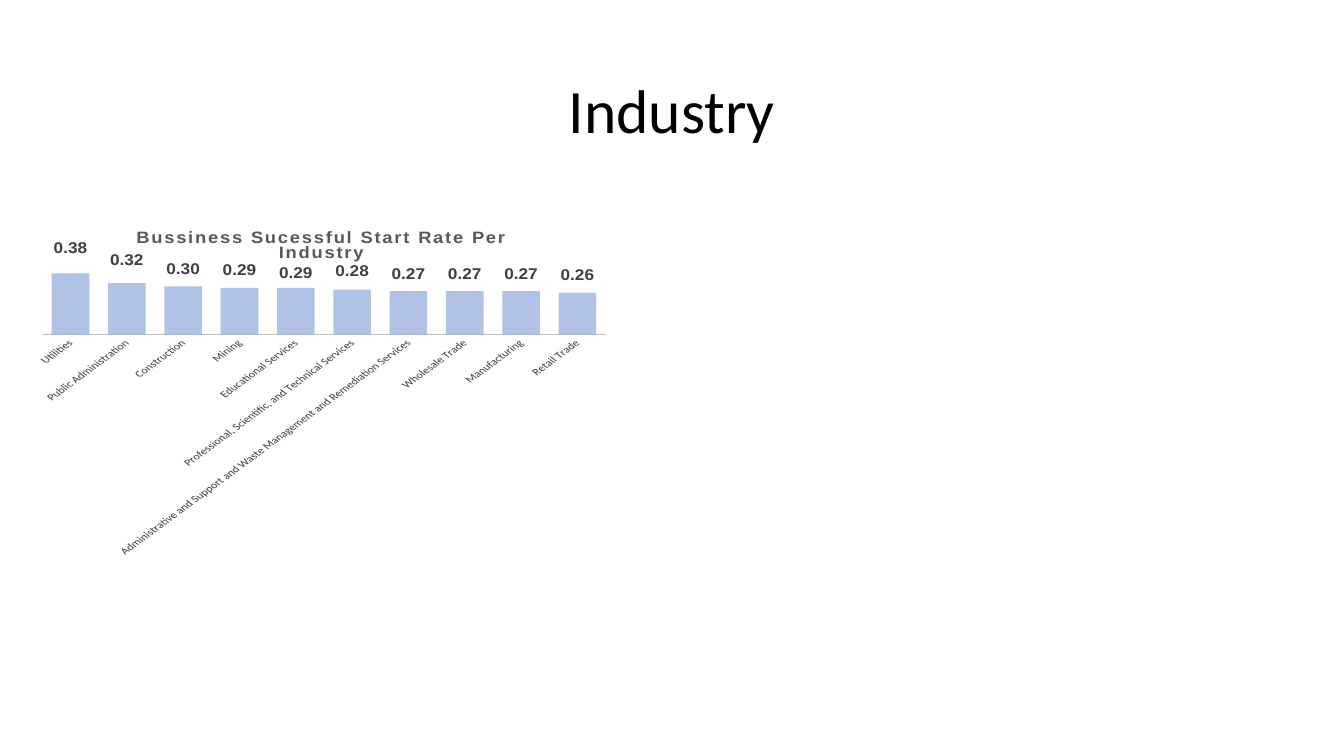
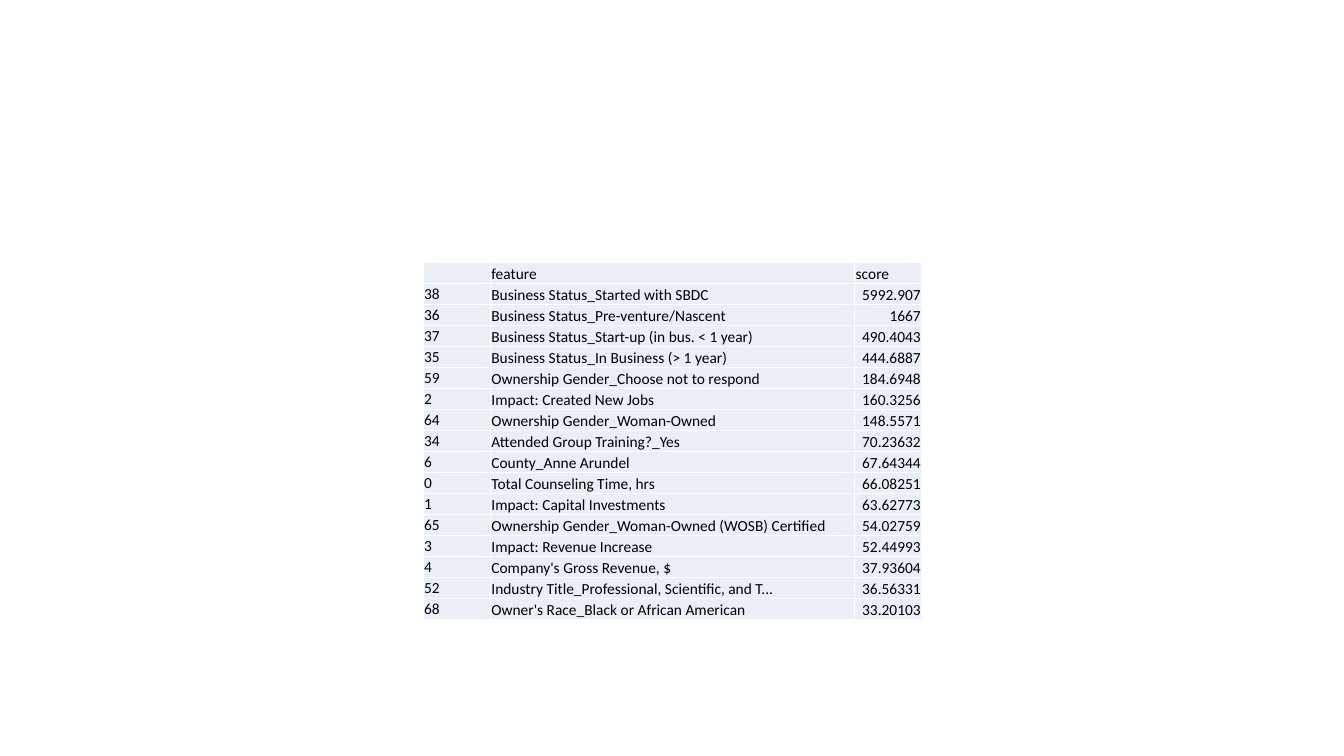
from lxml import etree
from pptx import Presentation
from pptx import util as u
from pptx.chart import data as chart_data
from pptx.dml.color import RGBColor
from pptx.enum import chart as charts
from pptx.enum import text
from pptx.oxml import ns

SCALE = 9525
BLACK = RGBColor(0x00, 0x00, 0x00)
WHITE = RGBColor(0xFF, 0xFF, 0xFF)
GREY = RGBColor(0x59, 0x59, 0x59)
DARK_GREY = RGBColor(0x40, 0x40, 0x40)
AXIS_GREY = RGBColor(0xBF, 0xBF, 0xBF)
BAR_BLUE = RGBColor(0x8F, 0xAA, 0xDC)
CELL_BLUE = RGBColor(0xEA, 0xEF, 0xF7)
BODY_FONT = "Calibri"
CHART_FONT = "Arial Narrow"
LEADER_SPACE = "http://schemas.microsoft.com/office/drawing/2012/chart"
LEADER_URI = "{CE6537A1-D6FC-4f65-9D91-7224C49458BB}"

START_RATES = [
    ("Utilities", 0.38),
    ("Public Administration", 0.32),
    ("Construction", 0.30),
    ("Mining", 0.29),
    ("Educational Services", 0.29),
    ("Professional, Scientific, and Technical Services", 0.28),
    ("Administrative and Support and Waste Management and Remediation Services", 0.27),
    ("Wholesale Trade", 0.27),
    ("Manufacturing", 0.27),
    ("Retail Trade", 0.26),
]
LABEL_SHIFTS = [-0.22, -0.19, -0.16, -0.16, -0.15, -0.16, -0.15, -0.15, -0.15, -0.15]

FEATURE_SCORES = [
    ("", "feature", "score"),
    ("38", "Business Status_Started with SBDC", "5992.907"),
    ("36", "Business Status_Pre-venture/Nascent", "1667"),
    ("37", "Business Status_Start-up (in bus. < 1 year)", "490.4043"),
    ("35", "Business Status_In Business (> 1 year)", "444.6887"),
    ("59", "Ownership Gender_Choose not to respond", "184.6948"),
    ("2", "Impact: Created New Jobs", "160.3256"),
    ("64", "Ownership Gender_Woman-Owned", "148.5571"),
    ("34", "Attended Group Training?_Yes", "70.23632"),
    ("6", "County_Anne Arundel", "67.64344"),
    ("0", "Total Counseling Time, hrs", "66.08251"),
    ("1", "Impact: Capital Investments", "63.62773"),
    ("65", "Ownership Gender_Woman-Owned (WOSB) Certified", "54.02759"),
    ("3", "Impact: Revenue Increase", "52.44993"),
    ("4", "Company's Gross Revenue, $", "37.93604"),
    ("52", "Industry Title_Professional, Scientific, and T...", "36.56331"),
    ("68", "Owner's Race_Black or African American", "33.20103"),
]


def px(*lengths):
    return [u.Emu(length * SCALE) for length in lengths]


def style_font(font, size, color, name=BODY_FONT, bold=False):
    font.size = u.Pt(size)
    font.color.rgb = color
    font.name = name
    font.bold = bold


def write(para, words, size=11, color=BLACK, name=BODY_FONT, bold=False,
          align=text.PP_ALIGN.LEFT, spacing=1.0):
    para.alignment = align
    para.line_spacing = spacing
    if words:
        span = para.add_run()
        span.text = words
        style_font(span.font, size, color, name, bold)
    else:
        etree.SubElement(para._p, ns.qn("a:endParaRPr"), sz=str(size * 100))


def place_title(page, words, box):
    title = page.shapes.title
    title.left, title.top, title.width, title.height = px(*box)
    title.text_frame.vertical_anchor = text.MSO_ANCHOR.MIDDLE
    write(title.text_frame.paragraphs[0], words, size=44,
          align=text.PP_ALIGN.CENTER, spacing=0.9)


def style_chart_title(chart, lines):
    chart.has_title = True
    frame = chart.chart_title.text_frame
    for index, words in enumerate(lines):
        para = frame.add_paragraph() if index else frame.paragraphs[0]
        write(para, words, size=16, color=GREY, name=CHART_FONT,
              bold=True, align=text.PP_ALIGN.CENTER)
        para.runs[0].font._element.set("spc", "140")
    chart.chart_title.include_in_layout = True
    overlay = chart.chart_title._element.find(ns.qn("c:overlay"))
    if overlay is not None:
        overlay.set("val", "1")


def style_axes(chart):
    names = chart.category_axis
    names.major_tick_mark = charts.XL_TICK_MARK.NONE
    names.format.line.color.rgb = AXIS_GREY
    names.format.line.width = u.Pt(0.75)
    style_font(names.tick_labels.font, 9, GREY)
    names._element.find(ns.qn("c:txPr")).find(ns.qn("a:bodyPr")).set("rot", "-2700000")
    rates = chart.value_axis
    rates.visible = False
    rates.has_major_gridlines = False
    rates.minimum_scale, rates.maximum_scale = 0, 0.4


def shift_label(element, shift):
    layout = etree.Element(ns.qn("c:layout"))
    manual = etree.SubElement(layout, ns.qn("c:manualLayout"))
    etree.SubElement(manual, ns.qn("c:x"), val="0")
    etree.SubElement(manual, ns.qn("c:y"), val=str(shift))
    element.find(ns.qn("c:idx")).addnext(layout)
    number = etree.Element(ns.qn("c:numFmt"), formatCode="0.00", sourceLinked="0")
    layout.addnext(number)


def hide_leader_lines(labels):
    for line in labels.findall(ns.qn("c:showLeaderLines")):
        line.set("val", "0")
    extensions = etree.SubElement(labels, ns.qn("c:extLst"))
    extension = etree.SubElement(extensions, ns.qn("c:ext"), uri=LEADER_URI)
    tag = f"{{{LEADER_SPACE}}}showLeaderLines"
    etree.SubElement(extension, tag, nsmap={"c15": LEADER_SPACE}, val="0")


def style_bars(plot):
    plot.gap_width, plot.overlap = 50, 100
    plot.vary_by_categories = False
    series = plot.series[0]
    series.format.fill.solid()
    series.format.fill.fore_color.rgb = BAR_BLUE
    color = series._element.find(".//" + ns.qn("a:srgbClr"))
    etree.SubElement(color, ns.qn("a:alpha"), val="70000")
    for index, shift in enumerate(LABEL_SHIFTS):
        label = series.points[index].data_label
        style_font(label.font, 15, DARK_GREY, CHART_FONT, bold=True)
        label.position = charts.XL_LABEL_POSITION.CENTER
        shift_label(label._dLbl, shift)
    hide_leader_lines(series._element.find(ns.qn("c:dLbls")))


def place_rate_chart(page, box):
    rates = chart_data.CategoryChartData(number_format="0.00")
    rates.categories = [name for name, rate in START_RATES]
    rates.add_series("Series 1", [rate for name, rate in START_RATES])
    kind = charts.XL_CHART_TYPE.COLUMN_STACKED
    chart = page.shapes.add_chart(kind, *px(*box), rates).chart
    style_font(chart.font, 10, BLACK, CHART_FONT)
    chart.has_legend = False
    style_chart_title(chart, ("Bussiness Sucessful Start Rate Per", "Industry"))
    style_axes(chart)
    style_bars(chart.plots[0])


def add_borders(cell):
    properties = cell._tc.get_or_add_tcPr()
    for index, side in enumerate(("lnL", "lnR", "lnT", "lnB")):
        line = etree.Element(ns.qn(f"a:{side}"), w=str(u.Pt(1)))
        fill = etree.SubElement(line, ns.qn("a:solidFill"))
        etree.SubElement(fill, ns.qn("a:srgbClr"), val=str(WHITE))
        properties.insert(index, line)


def fill_cell(cell, words, row, column):
    cell.margin_left = cell.margin_right = cell.margin_top = px(1)[0]
    cell.margin_bottom = 0
    anchors = text.MSO_ANCHOR
    cell.vertical_anchor = anchors.BOTTOM if column else anchors.MIDDLE
    cell.fill.solid()
    cell.fill.fore_color.rgb = CELL_BLUE
    aligns = text.PP_ALIGN
    align = aligns.RIGHT if row and column == 2 else aligns.LEFT
    write(cell.text_frame.paragraphs[0], words, align=align)
    add_borders(cell)


def place_score_table(page, left, top, widths, row_height):
    size = len(FEATURE_SCORES), len(widths)
    box = px(left, top, sum(widths), row_height * size[0])
    table = page.shapes.add_table(*size, *box).table
    for column, width in zip(table.columns, px(*widths)):
        column.width = width
    for row, record in enumerate(FEATURE_SCORES):
        table.rows[row].height = px(row_height)[0]
        for column, words in enumerate(record):
            fill_cell(table.cell(row, column), words, row, column)


def industry_slide(deck):
    page = deck.slides.add_slide(deck.slide_layouts[5])
    place_rate_chart(page, (24, 209, 564, 321))
    place_title(page, "Industry", (226, 39, 828, 139))


def score_slide(deck):
    page = deck.slides.add_slide(deck.slide_layouts[6])
    place_score_table(page, 403, 250, (64, 347, 64), 20)


def main():
    deck = Presentation()
    deck.slide_width, deck.slide_height = px(1280, 720)
    industry_slide(deck)
    score_slide(deck)
    deck.save("out.pptx")


if __name__ == "__main__":
    main()
